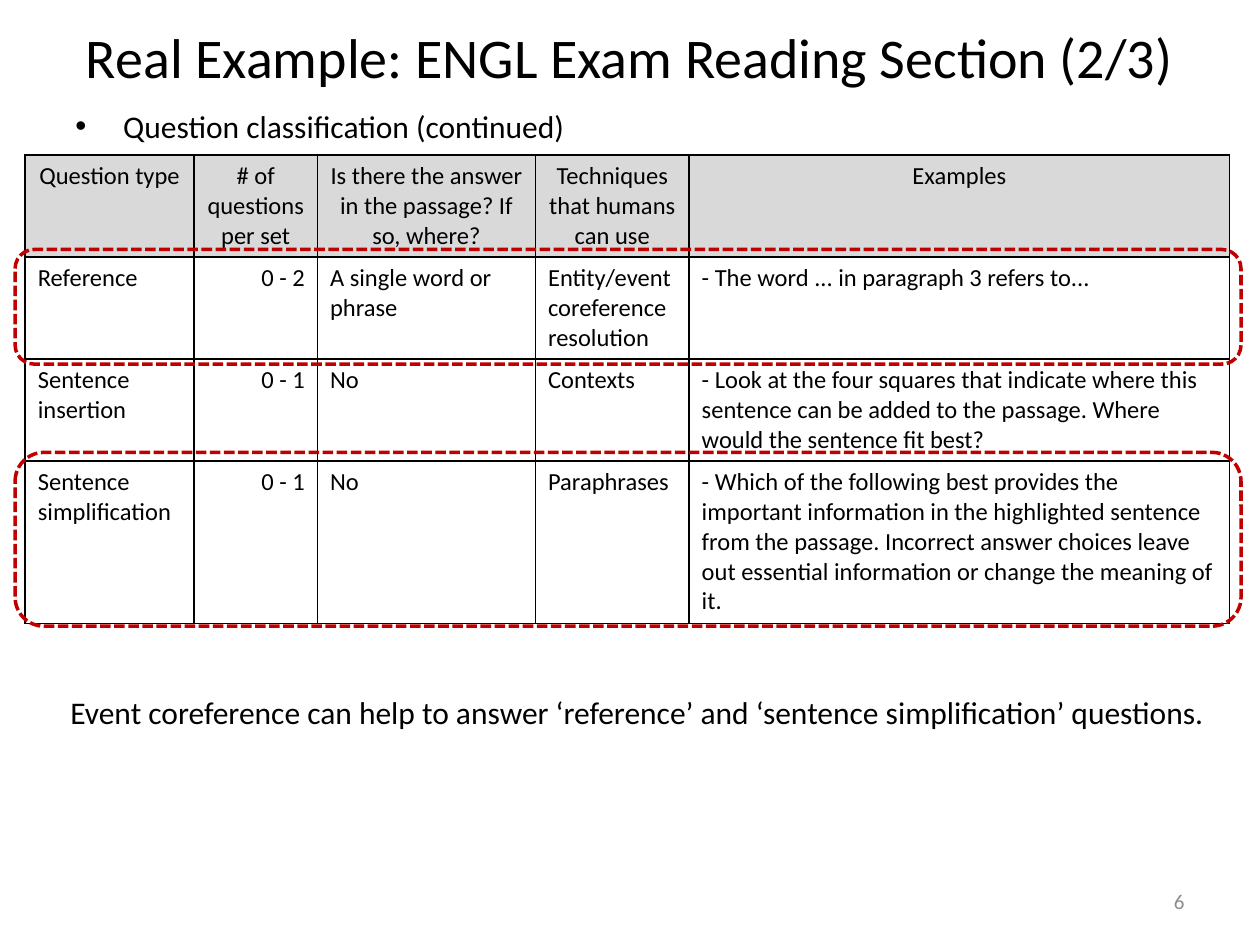
from lxml.etree import SubElement
from pptx import Presentation
from pptx.dml.color import RGBColor
from pptx.enum.dml import MSO_LINE
from pptx.enum.shapes import MSO_SHAPE
from pptx.enum.text import MSO_ANCHOR, PP_ALIGN
from pptx.oxml.ns import qn
from pptx.util import Inches, Pt

HEADER = ["Question type", "# of questions per set",
          "Is there the answer in the passage? If so, where?",
          "Techniques that humans can use", "Examples"]
ROWS = [
    ["Reference", "0 - 2", "A single word or phrase",
     "Entity/event coreference resolution",
     "- The word ... in paragraph 3 refers to..."],
    ["Sentence insertion", "0 - 1", "No", "Contexts",
     "- Look at the four squares that indicate where this sentence can be "
     "added to the passage. Where would the sentence fit best?"],
    ["Sentence simplification", "0 - 1", "No", "Paraphrases",
     "- Which of the following best provides the important information in the "
     "highlighted sentence from the passage. Incorrect answer choices leave "
     "out essential information or change the meaning of it."],
]
COL_WIDTHS = [1.34, 0.98, 1.73, 1.22, 4.29]
ROW_HEIGHTS = [0.81, 0.81, 0.81, 1.29]


def paint(fmt, color):
    fmt.solid()
    fmt.fore_color.rgb = RGBColor.from_string(color)


def write(tf, text, size, color="000000", align=PP_ALIGN.LEFT):
    p = tf.paragraphs[0]
    p.alignment = align
    r = p.add_run()
    r.text = text
    for name, value in {"name": "Calibri", "size": Pt(size), "bold": False}.items():
        setattr(r.font, name, value)
    paint(r.font.fill, color)
    return p


def add_text(s, box, text, size, color="000000", align=PP_ALIGN.LEFT,
             anchor=MSO_ANCHOR.TOP, wrap=True):
    tf = s.shapes.add_textbox(*map(Inches, box)).text_frame
    for name, value in {"word_wrap": wrap, "vertical_anchor": anchor}.items():
        setattr(tf, name, value)
    return write(tf, text, size, color, align)


def add_bullet(s, box, text):
    p = add_text(s, box, text, 18)
    p.space_before = Pt(3.6)
    pPr = p._p.get_or_add_pPr()
    pPr.set("marL", str(Inches(0.38)))
    pPr.set("indent", str(-Inches(0.38)))
    SubElement(pPr, qn("a:buFont"), typeface="Arial")
    SubElement(pPr, qn("a:buChar"), char="•")


def set_borders(cell, color, width):
    tcPr = cell._tc.get_or_add_tcPr()
    for i, side in enumerate(["lnL", "lnR", "lnT", "lnB"]):
        ln = tcPr.makeelement(qn("a:" + side), {"w": str(Pt(width))})
        fill = SubElement(ln, qn("a:solidFill"))
        SubElement(fill, qn("a:srgbClr"), val=color)
        tcPr.insert(i, ln)


def add_question_table(s, left, top):
    data = [HEADER] + ROWS
    size = sum(COL_WIDTHS), sum(ROW_HEIGHTS)
    table = s.shapes.add_table(len(data), len(HEADER),
                               *map(Inches, (left, top, *size))).table
    table.first_row = table.horz_banding = False
    for column, width in zip(table.columns, COL_WIDTHS):
        column.width = Inches(width)
    for i, values in enumerate(data):
        table.rows[i].height = Inches(ROW_HEIGHTS[i])
        for j, text in enumerate(values):
            cell = table.cell(i, j)
            align = PP_ALIGN.RIGHT if j == 1 else PP_ALIGN.LEFT
            if i == 0:
                align = PP_ALIGN.CENTER
                paint(cell.fill, "D9D9D9")
            else:
                cell.fill.background()
            write(cell.text_frame, text, 14, align=align)
            set_borders(cell, "000000", 1)


def add_highlight(s, box):
    sp = s.shapes.add_shape(MSO_SHAPE.ROUNDED_RECTANGLE, *map(Inches, box))
    sp.shadow.inherit = False
    sp.fill.background()
    paint(sp.line.fill, "C00000")
    for name, value in {"width": Pt(2), "dash_style": MSO_LINE.SQUARE_DOT}.items():
        setattr(sp.line, name, value)
    sp.line._ln.find(qn("a:prstDash")).set("val", "sysDash")


def build_slide(prs):
    s = prs.slides.add_slide(prs.slide_layouts[6])
    add_bullet(s, (0.5, 0.8, 9, 0.47), "Question classification (continued)")
    add_text(s, (0.5, 0.05, 9, 0.79), "Real Example: ENGL Exam Reading Section (2/3)",
             32, align=PP_ALIGN.CENTER, anchor=MSO_ANCHOR.MIDDLE)
    add_text(s, (7.17, 6.95, 2.33, 0.4), "6", 12, "8C8C8C",
             PP_ALIGN.RIGHT, MSO_ANCHOR.MIDDLE)
    add_question_table(s, 0.2, 1.23)
    for top, height in [(1.98, 0.91), (3.59, 1.38)]:
        add_highlight(s, (0.12, top, 9.73, height))
    add_text(s, (0.46, 5.45, 9.23, 0.4),
             "Event coreference can help to answer ‘reference’ and "
             "‘sentence simplification’ questions.", 18, wrap=False)


prs = Presentation()
prs.slide_width, prs.slide_height = Inches(10), Inches(7.5)
build_slide(prs)
prs.save("out.pptx")
